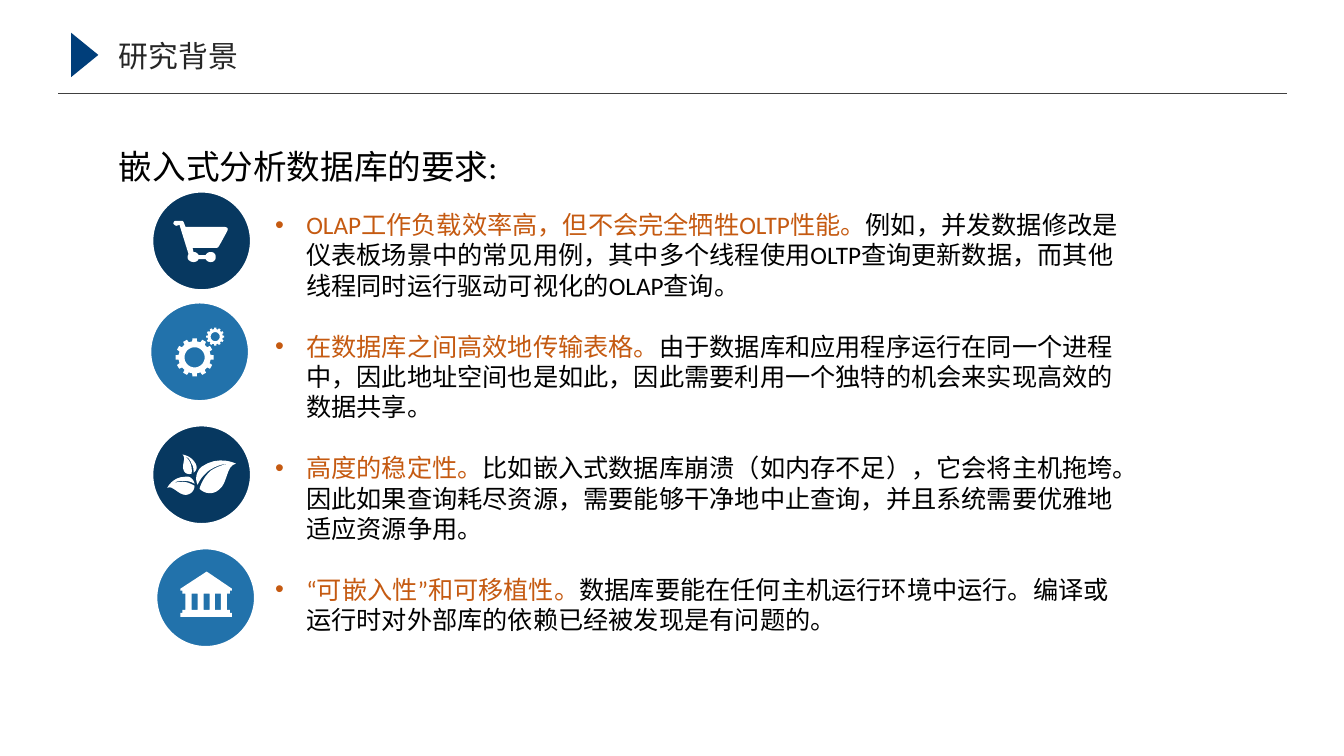
from math import cos, sin, tau

from lxml.etree import SubElement as Sub
from pptx import Presentation
from pptx.dml.color import RGBColor as RGB
from pptx.enum.shapes import MSO_CONNECTOR as Line, MSO_SHAPE as Kind
from pptx.enum.text import MSO_ANCHOR as Anchor, MSO_AUTO_SIZE as Fit, PP_ALIGN as Align
from pptx.oxml.ns import qn
from pptx.util import Pt

PX = 9144  # 100 px to the inch
FINE = 100  # outline steps per px
HUES = {"navy": "073860", "blue": "2272AB", "mark": "003E7A", "rule": "404040",
        "title": "262626", "key": "C55A11", "text": "000000", "white": "FFFFFF"}
HEAD, BODY = "Noto Sans CJK SC", "Calibri"


def trace(*steps):
    """Turn points (2 numbers) and Bézier curves (6 numbers) into an outline."""
    dots = []
    for step in steps:
        if len(step) == 2:
            dots.append(step)
            continue
        ends = [dots[-1], step[:2], step[2:4], step[4:]]
        for i in range(1, 9):
            t = i / 8
            rates = ((1 - t) ** 3, 3 * t * (1 - t) ** 2, 3 * t * t * (1 - t), t ** 3)
            dots.append(tuple(sum(r * p[k] for r, p in zip(rates, ends)) for k in (0, 1)))
    return dots


def ring(x, y, size, count=40):
    return [(x + size * cos(tau * i / count), y + size * sin(tau * i / count))
            for i in range(count)]


def gear(x, y, tip, root, hole, teeth=12):
    rim = []
    for i in range(teeth):
        for size, turn in ((root, -0.29), (tip, -0.22), (tip, 0.22), (root, 0.29)):
            angle = tau * (i + turn) / teeth
            rim.append((x + size * sin(angle), y - size * cos(angle)))
    return [rim, ring(x, y, hole)]


def box(x, y, w, h):
    return [(x, y), (x + w, y), (x + w, y + h), (x, y + h)]


class Page:
    def __init__(self, deck):
        self.slide = deck.slides.add_slide(deck.slide_layouts[5])
        self.shapes = self.slide.shapes

    def hue(self, name):
        return RGB.from_string(HUES[name])

    def paint(self, shape, fill, edge=None, width=0):
        shape.shadow.inherit = False
        shape.fill.solid()
        shape.fill.fore_color.rgb = self.hue(fill)
        if edge:
            shape.line.color.rgb = self.hue(edge)
            shape.line.width = Pt(width)
        else:
            shape.line.fill.background()

    def place(self, shape, *area):
        shape.left, shape.top, shape.width, shape.height = (n * PX for n in area)

    def frame(self, shape):
        frame = shape.text_frame
        frame.word_wrap = True
        frame.auto_size = Fit.NONE
        frame.vertical_anchor = Anchor.TOP
        return frame

    def run(self, para, text, size, hue, face):
        run = para.add_run()
        run.text = text
        run.font.size = Pt(size)
        run.font.color.rgb = self.hue(hue)
        run.font.name = face
        Sub(run.font._element, qn("a:ea"), typeface=face)

    def title(self, text, *area):
        shape = self.shapes.title
        self.place(shape, *area)
        para = self.frame(shape).paragraphs[0]
        para.alignment = Align.LEFT
        self.run(para, text, 21.3, "title", HEAD)

    def text(self, text, *area):
        shape = self.shapes.add_textbox(*(n * PX for n in area))
        self.run(self.frame(shape).paragraphs[0], text, 24, "text", BODY)

    def points(self, items, *area):
        frame = self.frame(self.shapes.add_textbox(*(n * PX for n in area)))
        for i, (key, rest) in enumerate(items):
            para = frame.add_paragraph() if i else frame.paragraphs[0]
            para.space_after = Pt(22)
            props = para._p.get_or_add_pPr()
            props.set("marL", str(31 * PX))
            props.set("indent", str(-31 * PX))
            Sub(props, qn("a:buFont"), typeface="Arial")
            Sub(props, qn("a:buChar"), char="•")
            self.run(para, key, 18, "key", BODY)
            self.run(para, rest, 18, "text", BODY)

    def rule(self, x, y, end):
        line = self.shapes.add_connector(Line.STRAIGHT, x * PX, y * PX, end * PX, y * PX)
        line.line.color.rgb = self.hue("rule")
        line.line.width = Pt(0.5)
        Sub(line._element.spPr, qn("a:effectLst"))

    def mark(self, *area):
        shape = self.shapes.add_shape(Kind.ISOSCELES_TRIANGLE, *(n * PX for n in area))
        shape.rotation = 90
        self.paint(shape, "mark")

    def icon(self, x, y, fill, parts):
        group = self.shapes.add_group_shape().shapes
        disc = group.add_shape(Kind.OVAL, x * PX, y * PX, 100 * PX, 100 * PX)
        self.paint(disc, fill, "white", 3)
        for part in parts:
            pen = None
            for loop in part:
                first, *rest = [(a * FINE, b * FINE) for a, b in loop]
                if pen:
                    pen.move_to(*first)
                else:
                    pen = group.build_freeform(*first, scale=PX / FINE)
                pen.add_line_segments(rest, close=True)
            self.paint(pen.convert_to_shape(), "white")


# Icon outlines
CART = [trace((220, 225), (184, 225), (182, 220), (181, 219), (175, 219),
              (173, 219, 172, 220, 172, 222), (173, 223, 174, 224, 175, 224),
              (178, 223), (187, 252), (187, 252, 186, 254, 186, 255),
              (186, 258, 189, 260, 192, 260), (194, 260, 196, 259, 197, 257),
              (204, 257), (205, 259, 207, 260, 209, 260),
              (212, 260, 214, 258, 214, 255), (214, 252, 212, 250, 209, 250),
              (207, 250, 205, 251, 204, 253), (197, 253),
              (196, 251, 194, 250, 192, 250), (191, 246), (214, 246),
              (217, 246, 217, 244, 219, 241), (225, 230),
              (228, 225, 223, 225, 220, 225))]
GEARS = [gear(193, 354.5, 19, 16, 10), gear(213.5, 334, 9, 7.5, 4.5)]
LEAVES = [
    [trace((209, 467), (215, 463, 221, 461, 227, 460), (220, 460, 213, 463, 207, 467),
           (202, 471, 198, 476, 196, 481), (193, 475, 195, 467, 200, 463),
           (217, 451, 234, 460, 234, 460), (224, 462, 226, 480, 217, 486),
           (211, 491, 203, 490, 198, 485), (198, 484, 201, 474, 209, 467))],
    [trace((181, 478), (176, 478, 172, 479, 169, 481), (172, 479, 176, 477, 181, 477),
           (186, 477, 190, 478, 193, 480), (192, 475, 188, 472, 184, 473),
           (171, 473, 166, 484, 166, 484), (171, 481, 177, 491, 184, 491),
           (189, 491, 193, 487, 193, 482), (193, 482, 187, 478, 181, 478))],
    [trace((189, 460), (188, 457, 186, 455, 184, 453), (187, 454, 189, 457, 190, 460),
           (192, 463, 192, 466, 192, 469), (195, 467, 196, 464, 194, 460),
           (190, 452, 181, 451, 181, 451), (185, 454, 180, 462, 182, 466),
           (183, 470, 187, 471, 190, 470), (190, 470, 191, 465, 189, 460))]]
EDGE = [(205, 567), (230, 584), (230, 586), (228, 586), (228, 589), (225, 589),
        (225, 605), (228, 605), (228, 608), (230, 608), (230, 612)]
BANK = [EDGE + [(409 - x, y) for x, y in EDGE[:0:-1]],
        *(box(x, 589, 6, 16) for x in (190, 202, 213))]

ICONS = [(150, 189, "navy", [CART]), (148, 299, "blue", GEARS),
         (150, 421, "navy", LEAVES), (154, 543, "blue", [BANK])]

NEEDS = [
    ("OLAP工作负载效率高，但不会完全牺牲OLTP性能。",
     "例如，并发数据修改是仪表板场景中的常见用例，其中多个线程使用OLTP查询更新数据，"
     "而其他线程同时运行驱动可视化的OLAP查询。"),
    ("在数据库之间高效地传输表格。",
     "由于数据库和应用程序运行在同一个进程中，因此地址空间也是如此，"
     "因此需要利用一个独特的机会来实现高效的数据共享。"),
    ("高度的稳定性。",
     "比如嵌入式数据库崩溃（如内存不足），它会将主机拖垮。因此如果查询耗尽资源，"
     "需要能够干净地中止查询，并且系统需要优雅地适应资源争用。"),
    ("“可嵌入性”和可移植性。",
     "数据库要能在任何主机运行环境中运行。编译或运行时对外部库的依赖已经被发现是有问题的。"),
]


def main():
    deck = Presentation()
    deck.slide_width, deck.slide_height = 1333 * PX, 750 * PX
    page = Page(deck)
    # Header
    page.rule(58, 93, 1276)
    page.mark(62, 41, 44, 27)
    page.title("研究背景", 108, 32, 968, 46)
    # Icons
    for icon in ICONS:
        page.icon(*icon)
    # Requirements
    page.points(NEEDS, 263, 203, 866, 434)
    page.text("嵌入式分析数据库的要求:", 108, 140, 508, 50)
    deck.save("out.pptx")


if __name__ == "__main__":
    main()
